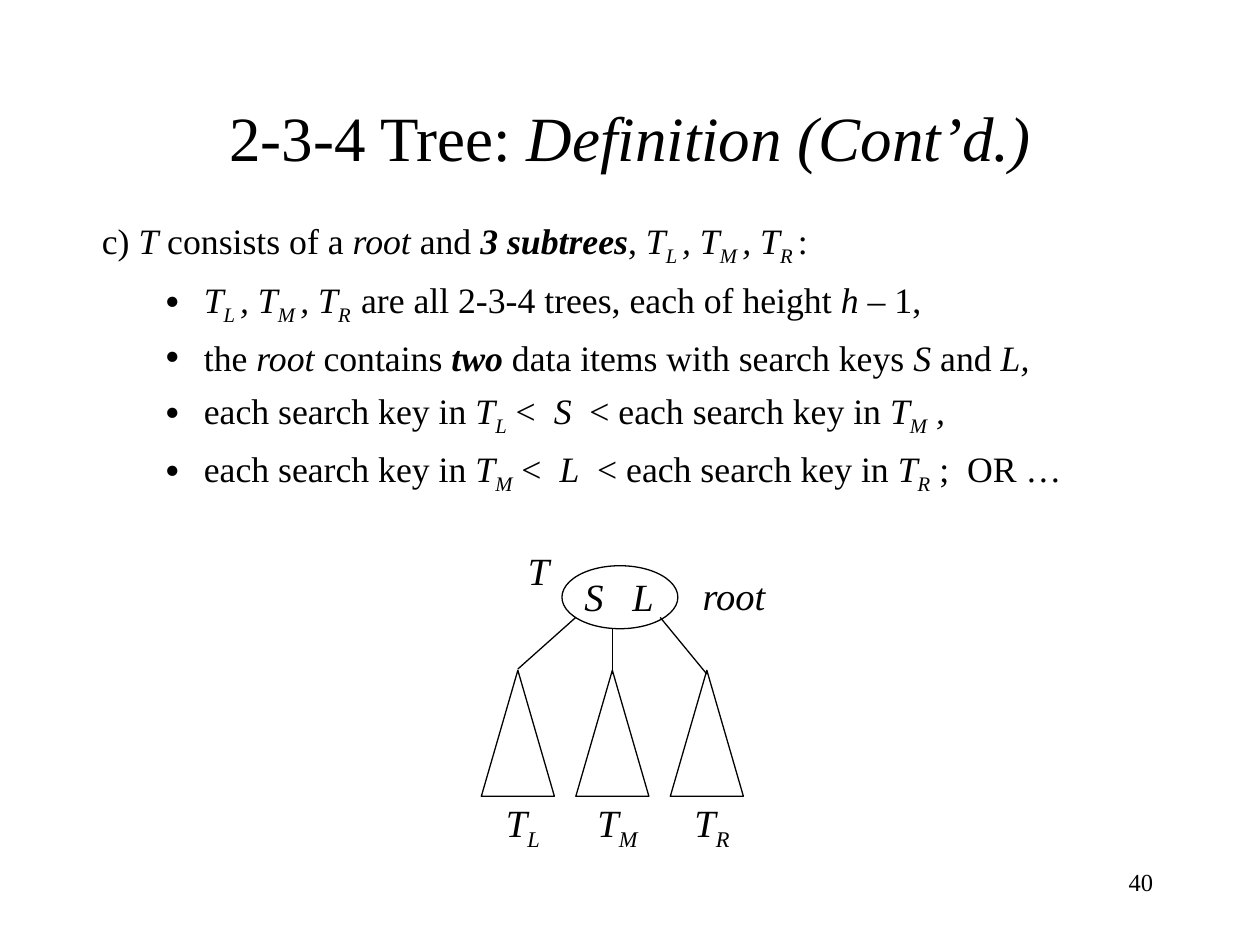
from dataclasses import dataclass
from typing import NamedTuple

from lxml import etree
from pptx import Presentation
from pptx.dml.color import RGBColor
from pptx.enum.shapes import MSO_CONNECTOR, MSO_SHAPE
from pptx.enum.text import MSO_ANCHOR, PP_ALIGN
from pptx.oxml.ns import qn
from pptx.util import Emu, Inches, Pt

LEFT, CENTER, RIGHT = PP_ALIGN.LEFT, PP_ALIGN.CENTER, PP_ALIGN.RIGHT
TOP, MIDDLE = MSO_ANCHOR.TOP, MSO_ANCHOR.MIDDLE
TRIANGLE, OVAL = MSO_SHAPE.ISOSCELES_TRIANGLE, MSO_SHAPE.OVAL
STRAIGHT = MSO_CONNECTOR.STRAIGHT
TITLE_ONLY = 5
SLIDE_WIDTH, SLIDE_HEIGHT = Inches(10), Inches(7.5)
COLUMNS, ROWS = 100, 75
SUBTREE_PITCH = 7.5


@dataclass(frozen=True)
class Theme:
    """Colours and type sizes of the slide."""
    font: str = "Times New Roman"
    ink: RGBColor = RGBColor(0, 0, 0)
    paper: RGBColor = RGBColor(255, 255, 255)
    title: float = 36
    body: float = 20.4
    label: float = 22
    number: float = 14
    outline: float = 0.75
    gap: float = 5.5


class Box(NamedTuple):
    """A rectangle in grid columns and rows."""
    left: float
    top: float
    width: float
    height: float


class Run(NamedTuple):
    """A piece of text with its emphasis."""
    text: str
    italic: bool = False
    bold: bool = False
    lowered: bool = False


class Branch(NamedTuple):
    """A straight line between two grid points."""
    start: tuple[float, float]
    end: tuple[float, float]


THEME = Theme()


def italic(text: str) -> Run:
    """Return an italic run."""
    return Run(text, italic=True)


def strong(text: str) -> Run:
    """Return a bold italic run."""
    return Run(text, italic=True, bold=True)


def subtree(key: str) -> list[Run]:
    """Return the name of a subtree with its subscript."""
    return [italic("T"), Run(key, italic=True, lowered=True)]


def subtree_list(end: str) -> list[Run]:
    """Return the names of all three subtrees."""
    comma = italic(", ")
    return [*subtree("L "), comma, *subtree("M "), comma, *subtree(end)]


def key_order(lower: str, key: str, upper: str, ending: Run) -> list[Run]:
    """Return the rule that a key separates two subtrees."""
    return [Run("each search key in "), *subtree(lower), Run(" <  "), italic(key),
            Run("  < each search key in "), *subtree(upper), ending]


INTRODUCTION = [Run("c) "), italic("T"), Run(" consists of a "), italic("root"), Run(" and "),
                strong("3 subtrees"), Run(", "), *subtree_list("R "), Run(":")]
CONDITIONS = [
    [*subtree_list("R  "), Run("are all 2-3-4 trees, each of height "), italic("h – "), Run("1,")],
    [Run("the"), italic(" root "), Run("contains "), strong("two"),
     Run(" data items with search keys "), italic("S"), Run(" and "), italic("L,")],
    key_order("L", "S", "M", italic(" ,")),
    key_order("M", "L", "R", Run(" ;  OR …")),
]
BRANCHES = [Branch((41.1, 53.1), (45.7, 49)), Branch((56.1, 53.5), (52.4, 49)),
            Branch((48.6, 53.5), (48.6, 49.9))]


def across(columns: float) -> Emu:
    """Convert grid columns to a length."""
    return Emu(round(SLIDE_WIDTH * columns / COLUMNS))


def down(rows: float) -> Emu:
    """Convert grid rows to a length."""
    return Emu(round(SLIDE_HEIGHT * rows / ROWS))


def place(box: Box) -> tuple[Emu, Emu, Emu, Emu]:
    """Convert a grid box to slide lengths."""
    return across(box.left), down(box.top), across(box.width), down(box.height)


def write(paragraph, runs: list[Run], size: float, align=LEFT) -> None:
    """Fill a paragraph with runs in the theme font."""
    paragraph.alignment = align
    font = paragraph.font
    font.name, font.size, font.color.rgb = THEME.font, Pt(size), THEME.ink
    for piece in runs:
        run = paragraph.add_run()
        run.text = piece.text
        run.font.italic, run.font.bold = piece.italic, piece.bold
        if piece.lowered:
            run.font._element.set("baseline", "-25000")


def indent(paragraph, margin: float, hanging: float) -> None:
    """Give a paragraph a hanging indent in inches."""
    properties = paragraph._p.get_or_add_pPr()
    properties.set("marL", str(Inches(margin)))
    properties.set("indent", str(-Inches(hanging)))


def add_bullet(paragraph) -> None:
    """Give a paragraph an enlarged round bullet."""
    properties = paragraph._p.get_or_add_pPr()
    colour = etree.SubElement(properties, qn("a:buClr"))
    etree.SubElement(colour, qn("a:srgbClr"), val=str(THEME.ink))
    etree.SubElement(properties, qn("a:buSzPct"), val="120000")
    etree.SubElement(properties, qn("a:buFont"), typeface=THEME.font)
    etree.SubElement(properties, qn("a:buChar"), char="•")


def add_tab(paragraph, position: float) -> None:
    """Set a left tab stop in inches."""
    stops = etree.SubElement(paragraph._p.get_or_add_pPr(), qn("a:tabLst"))
    etree.SubElement(stops, qn("a:tab"), pos=str(Inches(position)), algn="l")


def add_text_frame(slide, box: Box, wrap: bool, anchor):
    """Add a text box and return its frame."""
    frame = slide.shapes.add_textbox(*place(box)).text_frame
    frame.word_wrap, frame.vertical_anchor = wrap, anchor
    return frame


def add_label(slide, box: Box, runs: list[Run]) -> None:
    """Add a centred label to the tree."""
    write(add_text_frame(slide, box, False, MIDDLE).paragraphs[0], runs, THEME.label, CENTER)


def add_node(slide, kind, box: Box) -> None:
    """Add an outlined part of the tree."""
    shape = slide.shapes.add_shape(kind, *place(box))
    shape.shadow.inherit = False
    shape.fill.solid()
    shape.fill.fore_color.rgb = THEME.paper
    shape.line.color.rgb, shape.line.width = THEME.ink, Pt(THEME.outline)


def add_branch(slide, branch: Branch) -> None:
    """Add a line from the root to a subtree."""
    (x1, y1), (x2, y2) = branch
    line = slide.shapes.add_connector(STRAIGHT, across(x1), down(y1), across(x2), down(y2))
    line.line.color.rgb, line.line.width = THEME.ink, Pt(THEME.outline)
    etree.SubElement(line._element.spPr, qn("a:effectLst"))


def add_title(slide) -> None:
    """Move and fill the title placeholder."""
    title = slide.shapes.title
    title.left, title.top, title.width, title.height = place(Box(7.5, 7.9, 85, 5.8))
    title.text_frame.vertical_anchor = MIDDLE
    write(title.text_frame.paragraphs[0],
          [Run("2-3-4 Tree: "), italic("Definition (Cont’d.)")], THEME.title, CENTER)


def add_definition(slide) -> None:
    """Add the definition with its bulleted conditions."""
    frame = add_text_frame(slide, Box(7.1, 16.9, 85.8, 23.3), True, TOP)
    indent(frame.paragraphs[0], 0.38, 0.38)
    write(frame.paragraphs[0], INTRODUCTION, THEME.body)
    for condition in CONDITIONS:
        paragraph = frame.add_paragraph()
        paragraph.level, paragraph.space_before = 1, Pt(THEME.gap)
        indent(paragraph, 0.81, 0.31)
        add_bullet(paragraph)
        write(paragraph, condition, THEME.body)


def add_tree(slide) -> None:
    """Draw the root, its keys and the three subtrees."""
    for index, key in enumerate("LMR"):
        offset = index * SUBTREE_PITCH
        add_node(slide, TRIANGLE, Box(38.2 + offset, 53.2, 5.8, 10))
        add_label(slide, Box(38.5 + offset, 62.9, 6, 5.2), subtree(key))
    add_node(slide, OVAL, Box(44.6, 44.9, 9.2, 5))
    add_label(slide, Box(40.9, 42.9, 3.7, 4.7), [italic("T")])
    add_label(slide, Box(54.7, 44.9, 7.1, 4.7), [italic("root")])
    keys = add_text_frame(slide, Box(45.4, 45, 7.5, 4.7), True, MIDDLE).paragraphs[0]
    add_tab(keys, 0.38)
    write(keys, [italic("S\tL")], THEME.label)
    for branch in BRANCHES:
        add_branch(slide, branch)


def main() -> None:
    """Build and save the slide."""
    presentation = Presentation()
    presentation.slide_width, presentation.slide_height = SLIDE_WIDTH, SLIDE_HEIGHT
    slide = presentation.slides.add_slide(presentation.slide_layouts[TITLE_ONLY])
    add_title(slide)
    add_definition(slide)
    add_tree(slide)
    number = add_text_frame(slide, Box(71.7, 68.3, 20.8, 5), True, TOP)
    write(number.paragraphs[0], [Run("40")], THEME.number, RIGHT)
    presentation.save("out.pptx")


if __name__ == "__main__":
    main()
